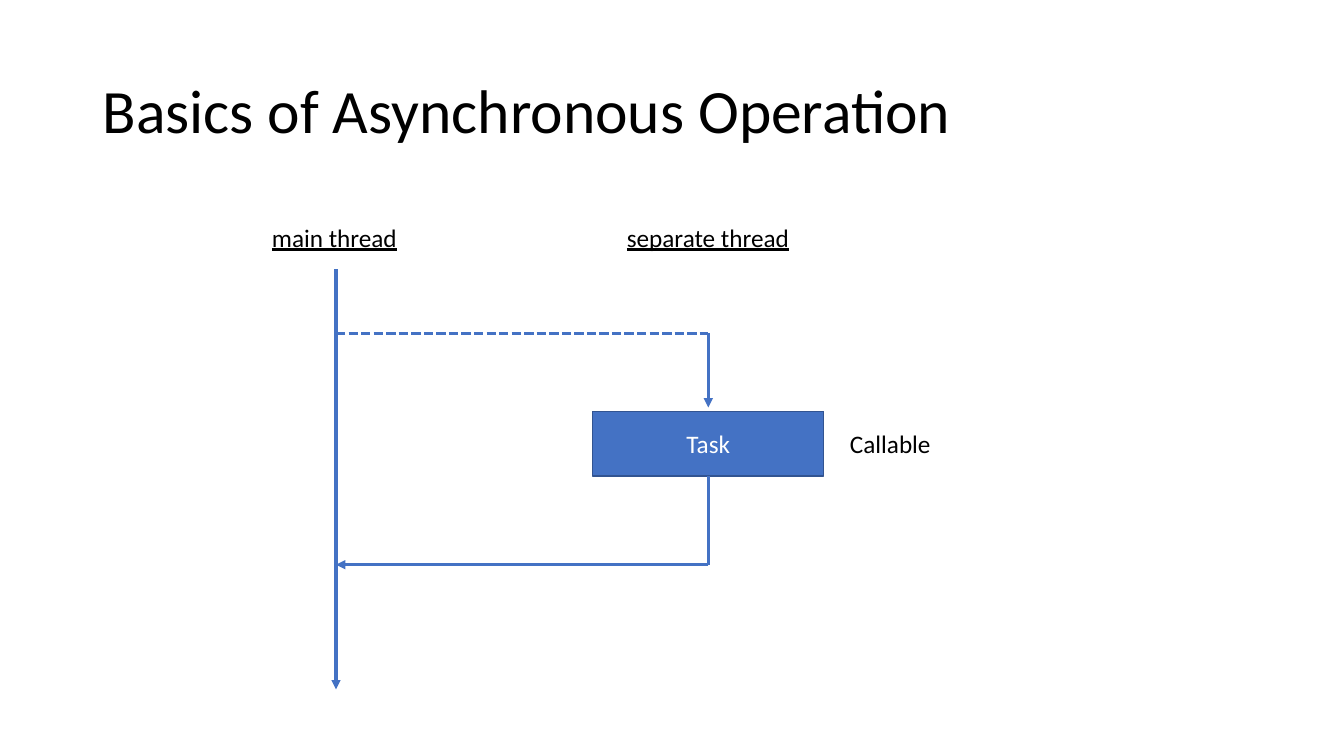
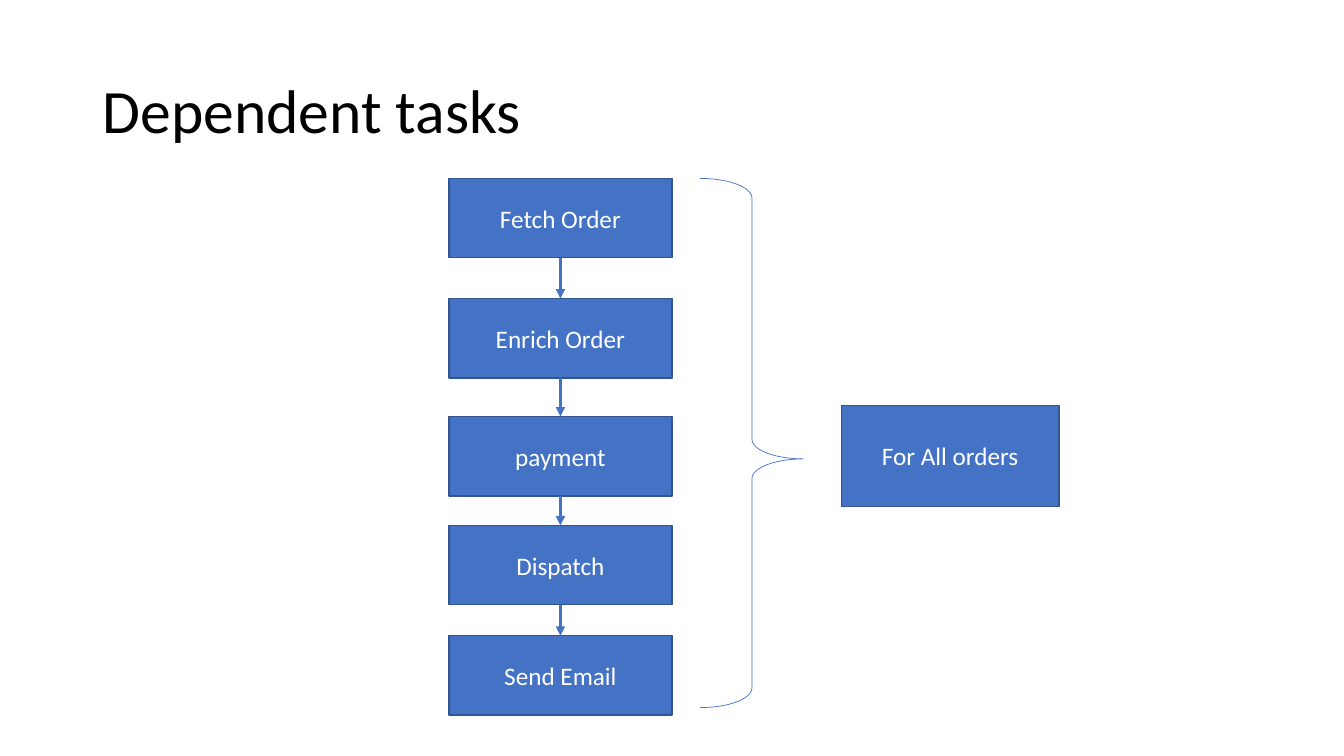
from dataclasses import dataclass

from pptx import Presentation, util as u
from pptx.dml.color import RGBColor
from pptx.enum import dml, shapes, text
from pptx.oxml.ns import qn
from lxml import etree

WIDTH, HEIGHT = u.Inches(13.33), u.Inches(7.5)
FONT = "Calibri"
COLORS = {"ink": "000000", "paper": "FFFFFF", "accent": "4472C4", "border": "325491"}
TOP, BOTTOM = 0, 2  # connection sites of a rectangle


@dataclass(frozen=True)
class Area:
    """Place on the slide, in percent of its width and height."""
    left: float
    top: float
    width: float
    height: float

    def emu(self) -> tuple:
        return (*point(self.left, self.top), *point(self.width, self.height))


@dataclass(frozen=True)
class Label:
    wording: str
    area: Area
    underline: bool = False


@dataclass(frozen=True)
class Line:
    """Straight line between two points given in percent of the slide."""
    start: tuple
    end: tuple
    arrow: bool = True
    dashed: bool = False


TITLE = Area(6.9, 5.3, 86.3, 19.3)


def point(x: float, y: float) -> tuple:
    return u.Emu(round(WIDTH * x / 100)), u.Emu(round(HEIGHT * y / 100))


def color(name: str) -> RGBColor:
    return RGBColor.from_string(COLORS[name])


def write(frame, wording: str, size: float, ink: str = "ink", underline: bool = False):
    paragraph = frame.paragraphs[0]
    paragraph.text = wording
    font = paragraph.font
    font.name, font.size, font.color.rgb = FONT, u.Pt(size), color(ink)
    if underline:
        font.underline = True
    return paragraph


def add_titled_slide(deck, wording: str):
    slide = deck.slides.add_slide(deck.slide_layouts[6])
    frame = slide.shapes.add_textbox(*TITLE.emu()).text_frame
    frame.word_wrap = True
    frame.vertical_anchor = text.MSO_ANCHOR.MIDDLE
    write(frame, wording, 44).line_spacing = 0.9
    return slide


def add_label(slide, label: Label) -> None:
    frame = slide.shapes.add_textbox(*label.area.emu()).text_frame
    frame.word_wrap = False
    frame.auto_size = text.MSO_AUTO_SIZE.SHAPE_TO_FIT_TEXT
    write(frame, label.wording, 18, underline=label.underline)


def add_task(slide, wording: str, area: Area):
    task = slide.shapes.add_shape(shapes.MSO_SHAPE.RECTANGLE, *area.emu())
    task.shadow.inherit = False
    task.fill.solid()
    task.fill.fore_color.rgb = color("accent")
    task.line.color.rgb = color("border")
    task.line.width = u.Pt(1)
    task.text_frame.vertical_anchor = text.MSO_ANCHOR.MIDDLE
    write(task.text_frame, wording, 18, "paper").alignment = text.PP_ALIGN.CENTER
    return task


def add_line(slide, line: Line):
    connector = slide.shapes.add_connector(
        shapes.MSO_CONNECTOR.STRAIGHT, *point(*line.start), *point(*line.end))
    connector.line.color.rgb = color("accent")
    connector.line.width = u.Pt(2.25)
    if line.dashed:
        connector.line.dash_style = dml.MSO_LINE.SQUARE_DOT
    properties = connector._element.spPr
    if line.arrow:
        etree.SubElement(properties.find(qn("a:ln")), qn("a:tailEnd"), type="triangle")
    etree.SubElement(properties, qn("a:effectLst"))
    return connector


def build_async_slide(deck) -> None:
    slide = add_titled_slide(deck, "Basics of Asynchronous Operation")
    main_x, separate_x = 25, 52.7
    fork_y, return_y = 44.1, 74.7
    box = Area(separate_x - 8.6, 54.4, 17.2, 8.6)

    for label in (
        Label("main thread", Area(19.5, 28.7, 11, 5.3), underline=True),
        Label("separate thread", Area(45.9, 28.7, 13.7, 5.3), underline=True),
        Label("Callable", Area(62.5, 56, 7.6, 5.3)),
    ):
        add_label(slide, label)
    for line in (
        Line((main_x, 35.6), (main_x, 91.2)),
        Line((main_x, fork_y), (separate_x, fork_y), arrow=False, dashed=True),
        Line((separate_x, fork_y), (separate_x, box.top - 0.5)),
        Line((separate_x, return_y), (main_x, return_y)),
    ):
        add_line(slide, line)

    task = add_task(slide, "Task", box)
    result = add_line(slide, Line((separate_x, box.top + box.height),
                                  (separate_x, return_y), arrow=False))
    result.begin_connect(task, BOTTOM)


def build_dependent_slide(deck) -> None:
    slide = add_titled_slide(deck, "Dependent tasks")
    left, width, height = 33.4, 16.6, 10.5
    center = left + width / 2
    step_tops = {"Fetch Order": 23.6, "Enrich Order": 39.5, "payment": 55.1,
                 "Dispatch": 69.5, "Send Email": 84.1}

    previous, previous_bottom = None, 0
    for wording, top in step_tops.items():
        step = add_task(slide, wording, Area(left, top, width, height))
        if previous is not None:
            arrow = add_line(slide, Line((center, previous_bottom), (center, top)))
            arrow.begin_connect(previous, BOTTOM)
            arrow.end_connect(step, TOP)
        previous, previous_bottom = step, top + height

    brace = slide.shapes.add_shape(
        shapes.MSO_SHAPE.RIGHT_BRACE, *Area(52.1, 23.6, 7.7, 70).emu())
    brace.shadow.inherit = False
    brace.fill.background()
    brace.line.color.rgb = color("accent")
    brace.line.width = u.Pt(0.5)
    brace.adjustments[0], brace.adjustments[1] = 0.19, 0.53

    add_task(slide, "For All orders", Area(62.6, 53.6, 16.2, 13.4))


def main() -> None:
    deck = Presentation()
    deck.slide_width, deck.slide_height = WIDTH, HEIGHT
    build_async_slide(deck)
    build_dependent_slide(deck)
    deck.save("out.pptx")


if __name__ == "__main__":
    main()
